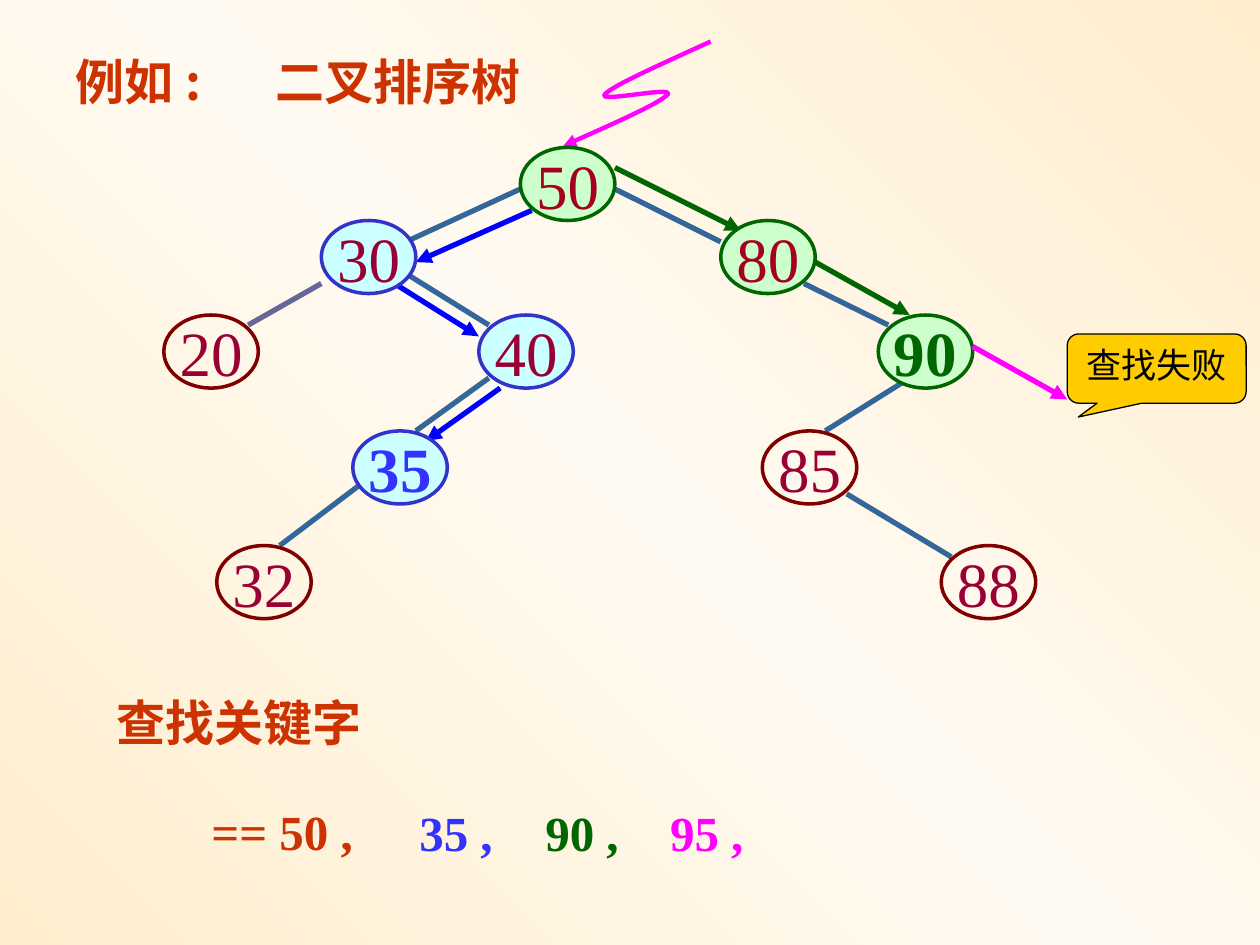
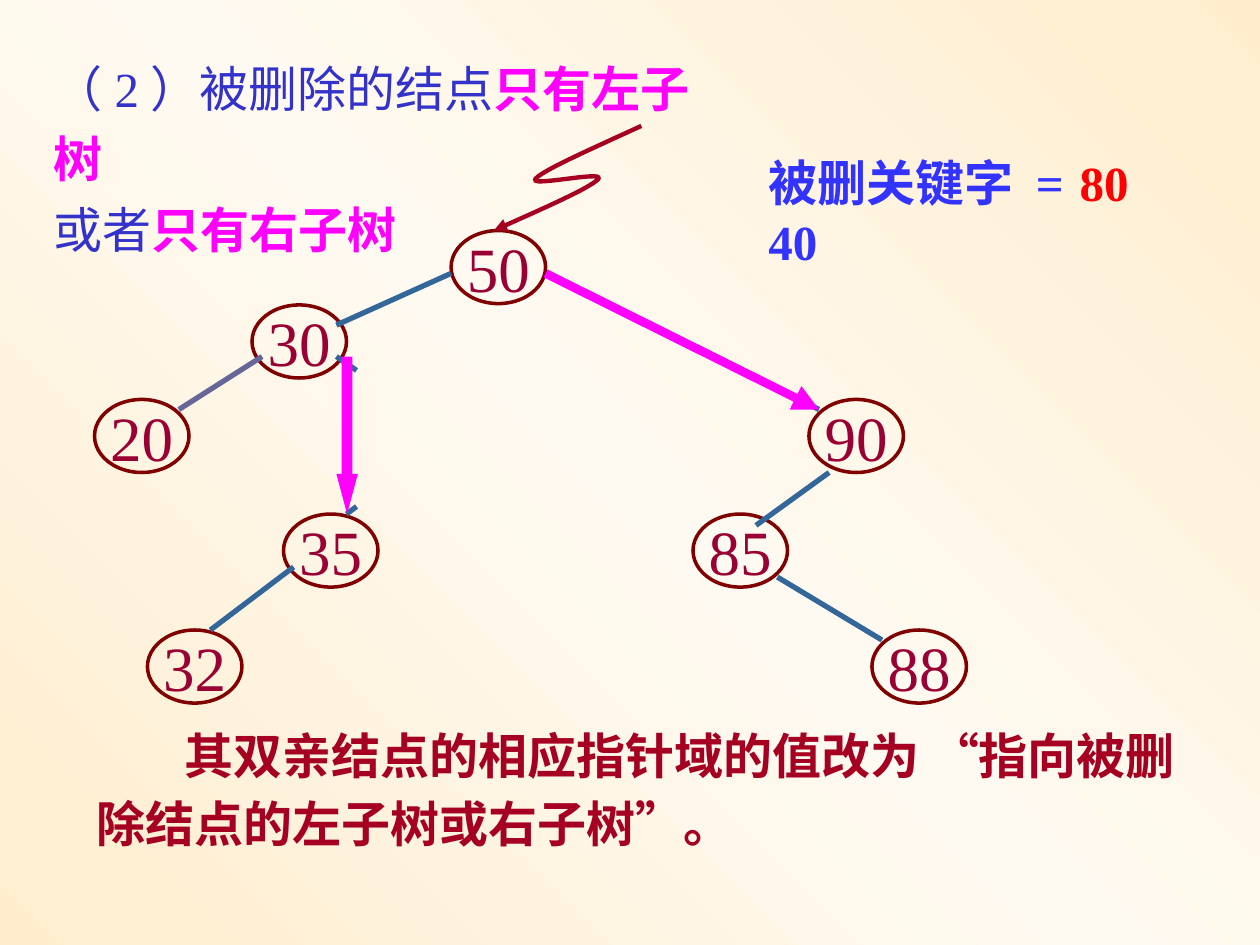
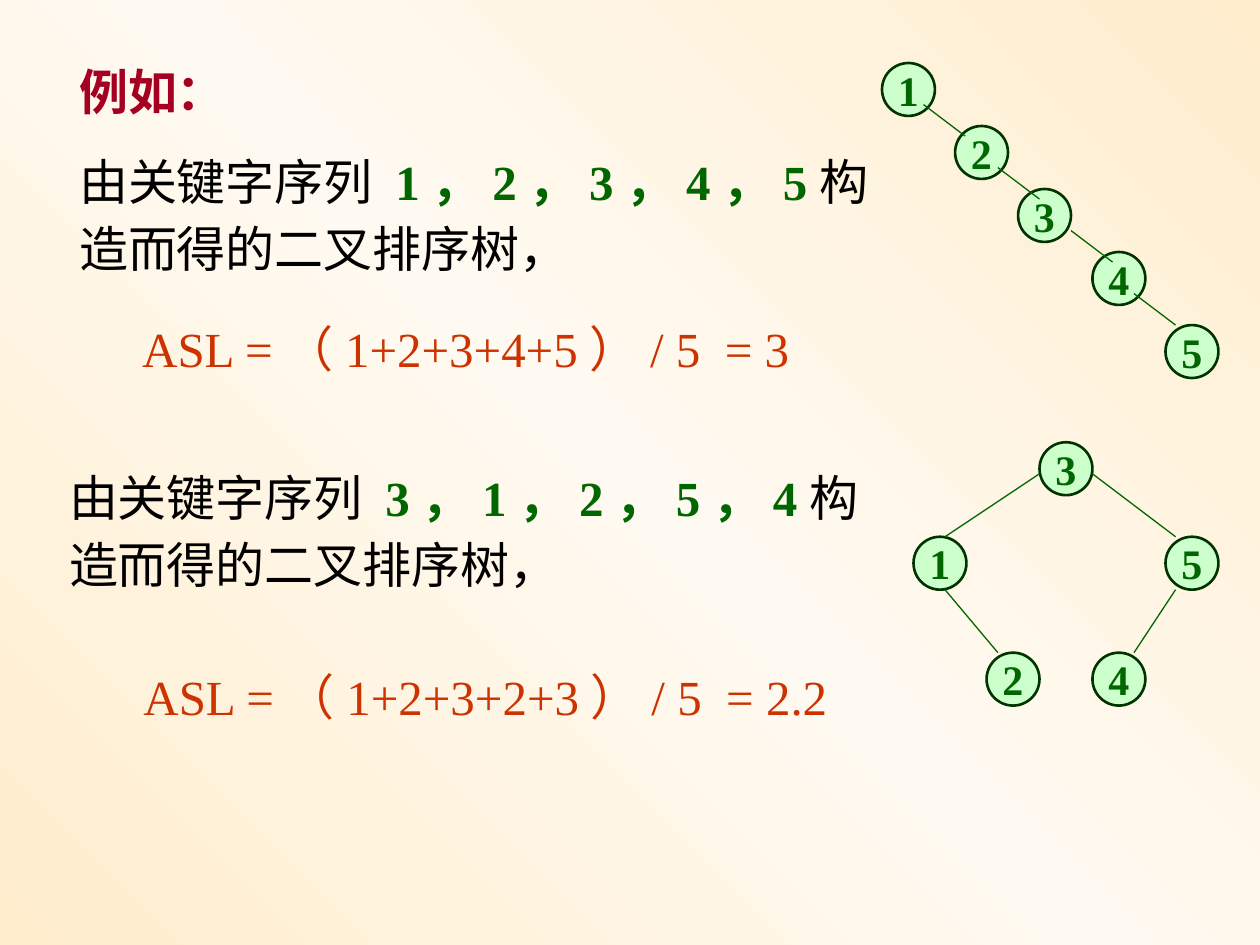
from copy import deepcopy

from lxml.etree import SubElement
from pptx import Presentation
from pptx.dml.color import RGBColor
from pptx.enum.lang import MSO_LANGUAGE_ID
from pptx.enum.shapes import MSO_CONNECTOR, MSO_SHAPE
from pptx.enum.text import MSO_ANCHOR, MSO_AUTO_SIZE, PP_ALIGN
from pptx.oxml.ns import qn
from pptx.util import Inches, Pt

FONT = "Times New Roman"
CJK_FONT = "Noto Sans CJK SC"

CREAM = RGBColor(0xFF, 0xED, 0xCD)
IVORY = RGBColor(0xFF, 0xFA, 0xF1)
BLACK = RGBColor(0x00, 0x00, 0x00)
MAROON = RGBColor(0x80, 0x00, 0x00)
WINE = RGBColor(0x99, 0x00, 0x33)
CRIMSON = RGBColor(0xA5, 0x00, 0x21)
RUST = RGBColor(0xCC, 0x33, 0x00)
RED = RGBColor(0xFF, 0x00, 0x00)
MAGENTA = RGBColor(0xFF, 0x00, 0xFF)
AMBER = RGBColor(0xFF, 0xCC, 0x00)
STEEL = RGBColor(0x33, 0x66, 0x99)
SLATE = RGBColor(0x66, 0x66, 0x99)
BLUE = RGBColor(0x00, 0x00, 0xFF)
BRIGHT_BLUE = RGBColor(0x33, 0x33, 0xFF)
INDIGO = RGBColor(0x33, 0x33, 0xCC)
PALE_BLUE = RGBColor(0xCC, 0xFF, 0xFF)
GREEN = RGBColor(0x00, 0x66, 0x00)
DARK_GREEN = RGBColor(0x00, 0x33, 0x00)
PALE_GREEN = RGBColor(0xCC, 0xFF, 0xCC)

SWIRL = [
    ((1.17, 0), (0.78, 0.18), (0.39, 0.35), (0.33, 0.42)),
    ((0.33, 0.42), (0.27, 0.49), (0.88, 0.35), (0.83, 0.42)),
    ((0.83, 0.42), (0.77, 0.49), (0.38, 0.66), (0, 0.83)),
]


def bezier(points, t):
    weights = ((1 - t) ** 3, 3 * t * (1 - t) ** 2, 3 * t * t * (1 - t), t ** 3)
    return tuple(sum(w * p[axis] for w, p in zip(weights, points)) for axis in (0, 1))


class Deck:
    def __init__(self):
        self.prs = Presentation()
        self.prs.slide_width, self.prs.slide_height = Inches(10), Inches(7.5)
        self.s = None
        self.set_background()

    def set_background(self):
        master = self.prs.slide_master
        fill = master.background.fill
        fill.gradient()
        fill.gradient_angle = 45
        stops = master.element.find(".//" + qn("a:gsLst"))
        stops.insert(1, deepcopy(stops[0]))
        for stop, color, position in zip(fill.gradient_stops, (CREAM, IVORY, CREAM), (0, 0.5, 1)):
            stop.color.rgb = color
            stop.position = position

    def new_slide(self):
        self.s = self.prs.slides.add_slide(self.prs.slide_layouts[6])

    def run(self, p, text, size, color, bold=False, font=FONT):
        r = p.add_run()
        r.text = text
        r.font.name, r.font.size, r.font.bold = font, Pt(size), bold
        r.font.color.rgb = color
        r.font.language_id = MSO_LANGUAGE_ID.SIMPLIFIED_CHINESE
        SubElement(r.font._element, qn("a:ea"), typeface=CJK_FONT)

    def text(self, x, y, w, h, *paragraphs, spacing=None, wrap=False, indent=0, font=FONT):
        tf = self.s.shapes.add_textbox(Inches(x), Inches(y), Inches(w), Inches(h)).text_frame
        tf.word_wrap = wrap
        tf.auto_size = MSO_AUTO_SIZE.SHAPE_TO_FIT_TEXT
        for i, runs in enumerate(paragraphs):
            p = tf.add_paragraph() if i else tf.paragraphs[0]
            p.line_spacing = spacing
            if indent:
                p._p.get_or_add_pPr().set("indent", str(Inches(indent)))
            for text, color, bold in runs:
                self.run(p, text, 28, color, bold, font)

    def paint(self, sp, fill=None, line=None, width=1):
        sp.shadow.inherit = False
        if fill is None:
            sp.fill.background()
        else:
            sp.fill.solid()
            sp.fill.fore_color.rgb = fill
        if line is None:
            sp.line.fill.background()
        else:
            sp.line.color.rgb = line
            sp.line.width = Pt(width)

    def shape(self, kind, x, y, w, h, adjustments=(), **style):
        sp = self.s.shapes.add_shape(kind, Inches(x), Inches(y), Inches(w), Inches(h))
        for i, value in enumerate(adjustments):
            sp.adjustments[i] = value
        self.paint(sp, **style)
        return sp

    def node(self, key, x, y, w=0.75, h=0.58, fill=None, line=MAROON, width=2,
             size=36, color=WINE, bold=False):
        sp = self.shape(MSO_SHAPE.OVAL, x, y, w, h, fill=fill, line=line, width=width)
        tf = sp.text_frame
        tf.word_wrap = False
        tf.vertical_anchor = MSO_ANCHOR.MIDDLE
        p = tf.paragraphs[0]
        p.alignment = PP_ALIGN.CENTER
        self.run(p, str(key), size, color, bold)

    def small_node(self, key, x, y):
        self.node(key, x, y, 0.42, 0.42, PALE_GREEN, DARK_GREEN, 1.5, 24, GREEN, True)

    def callout(self, text, x, y, w, h):
        sp = self.shape(MSO_SHAPE.ROUNDED_RECTANGULAR_CALLOUT, x, y, w, h,
                        (-0.438, 0.7, 0.167), fill=AMBER, line=BLACK, width=0.75)
        tf = sp.text_frame
        tf.vertical_anchor = MSO_ANCHOR.TOP
        p = tf.paragraphs[0]
        p.alignment = PP_ALIGN.CENTER
        self.run(p, text, 20, BLACK)

    def arrowhead(self, sp):
        SubElement(sp.element.find(".//" + qn("a:ln")), qn("a:tailEnd"), type="triangle")

    def line(self, x1, y1, x2, y2, color=STEEL, width=3, arrow=False):
        c = self.s.shapes.add_connector(
            MSO_CONNECTOR.STRAIGHT, Inches(x1), Inches(y1), Inches(x2), Inches(y2))
        c.line.color.rgb = color
        c.line.width = Pt(width)
        if arrow:
            self.arrowhead(c)
        SubElement(c.element.spPr, qn("a:effectLst"))

    def swirl(self, x, y, color):
        points = [bezier(curve, i / 16) for curve in SWIRL for i in range(1, 17)]
        start, *rest = [(Inches(x + px), Inches(y + py)) for px, py in [SWIRL[0][0]] + points]
        fb = self.s.shapes.build_freeform(*start)
        fb.add_line_segments(rest, close=False)
        sp = fb.convert_to_shape()
        self.paint(sp, line=color, width=2.5)
        self.arrowhead(sp)


def search_slide(d):
    d.new_slide()
    d.text(0.5, 0.36, 1.18, 0.57, [("例如:", RUST, True)], font=CJK_FONT)
    d.text(2.09, 0.36, 2.15, 0.57, [("二叉排序树", RUST, True)])
    d.line(2.55, 2.25, 1.97, 2.58, SLATE)
    for edge in [(4.13, 1.5, 3.22, 1.92), (4.88, 1.5, 5.72, 1.92), (3.22, 2.17, 3.88, 2.58),
                 (3.88, 3, 3.3, 3.42), (6.38, 2.25, 7.05, 2.58), (7.22, 3, 6.55, 3.42),
                 (6.72, 3.92, 7.55, 4.42), (2.88, 3.83, 2.22, 4.33)]:
        d.line(*edge)
    d.swirl(4.47, 0.33, MAGENTA)
    for color, steps in [
        (BLUE, [(4.22, 1.67, 3.3, 2.08), (3.13, 2.25, 3.8, 2.67), (3.97, 3.08, 3.38, 3.5)]),
        (GREEN, [(4.88, 1.33, 5.88, 1.83), (6.47, 2.08, 7.22, 2.5)]),
    ]:
        for step in steps:
            d.line(*step, color, arrow=True)
    for key, x, y in [(20, 1.3, 2.5), (85, 6.05, 3.42), (88, 7.47, 4.33), (32, 1.72, 4.33)]:
        d.node(key, x, y)
    blue = dict(fill=PALE_BLUE, line=INDIGO)
    green = dict(fill=PALE_GREEN, line=GREEN)
    d.node(30, 2.55, 1.75, **blue)
    d.node(40, 3.8, 2.5, **blue)
    d.node(35, 2.8, 3.42, color=BRIGHT_BLUE, bold=True, **blue)
    d.node(50, 4.13, 1.17, color=CRIMSON, **green)
    d.node(80, 5.72, 1.75, color=CRIMSON, **green)
    d.node(90, 6.97, 2.5, color=GREEN, bold=True, **green)
    d.line(7.72, 2.75, 8.47, 3.17, MAGENTA, arrow=True)
    d.callout("查找失败", 8.47, 2.65, 1.42, 0.55)
    d.text(0.83, 5.45, 2.15, 0.57, [("查找关键字", RUST, True)])
    d.text(1.58, 6.31, 1.33, 0.57, [("== 50 ,", RUST, True)])
    for key, x, color in [("35 ,", 3.23, BRIGHT_BLUE), ("90 ,", 4.23, GREEN),
                          ("95 ,", 5.22, MAGENTA)]:
        d.text(x, 6.32, 0.78, 0.57, [(key, color, True)])


def delete_slide(d):
    d.new_slide()
    for key, x, y in [(50, 3.58, 1.83), (30, 2, 2.42), (20, 0.75, 3.17), (90, 6.42, 3.17),
                      (85, 5.5, 4.08), (35, 2.25, 4.08), (88, 6.92, 5), (32, 1.17, 5)]:
        d.node(key, x, y)
    d.line(2.08, 2.83, 1.42, 3.25, SLATE)
    for edge in [(3.58, 2.17, 2.67, 2.58), (2.67, 2.83, 2.83, 2.94), (2.83, 4.02, 2.75, 4.08),
                 (6.42, 3.21, 6.5, 3.25), (6.58, 3.75, 6, 4.17), (6.17, 4.58, 7, 5.08),
                 (2.33, 4.5, 1.67, 5)]:
        d.line(*edge)
    d.text(0.33, 0.32, 5.46, 1.22,
           [("（2）被删除的结点", INDIGO, False), ("只有左子树", MAGENTA, True)],
           [("或者", INDIGO, False), ("只有右子树", MAGENTA, True)],
           spacing=1.2, wrap=True)
    d.shape(MSO_SHAPE.DOWN_ARROW, 2.67, 2.83, 0.17, 1.25, (0.5, 1.875), fill=MAGENTA)
    d.line(4.33, 2.17, 6.5, 3.25, MAGENTA, 5, arrow=True)
    d.swirl(3.92, 1, CRIMSON)
    d.text(6, 1.16, 2.96, 0.57, [("被删关键字 = 40", BRIGHT_BLUE, True)], wrap=True)
    d.text(8.47, 1.16, 0.59, 0.57, [("80", RED, True)])
    d.text(0.67, 5.64, 8.9, 1.17,
           [("其双亲结点的相应指针域的值改为 “指向被删除结点的左子树或右子树”。", CRIMSON, True)],
           spacing=1.15, wrap=True, indent=0.7)


def length_slide(d):
    d.new_slide()
    d.text(0.53, 0.44, 1.37, 0.57, [("例如：", CRIMSON, True)])
    for x, y, w, keys in [(0.53, 1.08, 6.75, "1，2，3，4，5"), (0.45, 3.59, 6.83, "3，1，2，5，4")]:
        d.text(x, y, w, 1.17,
               [("由关键字序列 ", BLACK, False), (keys, GREEN, True),
                ("构造而得的二叉排序树，", BLACK, False)],
               spacing=1.15, wrap=True)
    for x, y, w, formula in [(1.03, 2.41, 5.62, "ASL =（1+2+3+4+5）/ 5  = 3"),
                             (1.04, 5.17, 6.01, "ASL =（1+2+3+2+3）/ 5  = 2.2")]:
        d.text(x, y, w, 0.64, [(formula, RUST, False)], spacing=1.15, wrap=True)
    chain = [(1, 7, 0.5), (2, 7.58, 1), (3, 8.08, 1.5), (4, 8.67, 2), (5, 9.25, 2.58)]
    balanced = [(3, 8.25, 3.51), (5, 9.25, 4.26), (4, 8.67, 5.18), (1, 7.25, 4.26),
                (2, 7.83, 5.18)]
    for key, x, y in chain + balanced:
        d.small_node(key, x, y)
    chain_edges = [(x, 0.83 + 0.5 * i, x + 0.33, 1.08 + 0.5 * i)
                   for i, x in enumerate((7.33, 7.92, 8.5, 9))]
    balanced_edges = [(8.25, 3.76, 7.5, 4.26), (8.67, 3.76, 9.33, 4.26),
                      (7.5, 4.68, 7.92, 5.18), (9.33, 4.68, 9, 5.18)]
    for edge in chain_edges + balanced_edges:
        d.line(*edge, GREEN, 0.75)


def main():
    d = Deck()
    search_slide(d)
    delete_slide(d)
    length_slide(d)
    d.prs.save("out.pptx")


if __name__ == "__main__":
    main()
